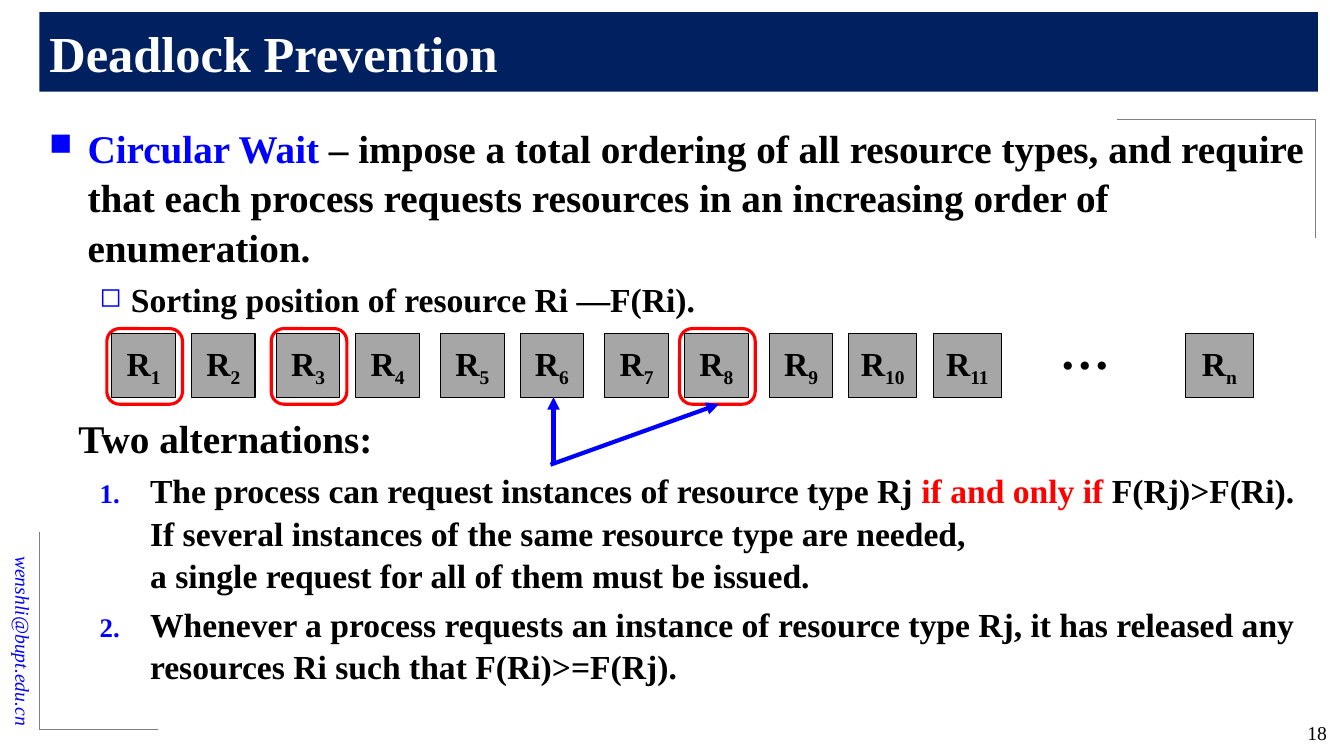
import dataclasses

import pptx
import pptx.dml.color
import pptx.enum.shapes
import pptx.enum.text
import pptx.oxml
import pptx.oxml.ns
import pptx.util

PX = 9144
ANCHOR = pptx.enum.text.MSO_ANCHOR
ALIGN = pptx.enum.text.PP_ALIGN
SHAPE = pptx.enum.shapes.MSO_SHAPE
LINE_BREAK = "\v"


@dataclasses.dataclass(frozen=True)
class Theme:
    """Colours and type sizes of the slide."""
    font: str = "Times New Roman"
    navy: str = "002060"
    blue: str = "0000FF"
    red: str = "FF0000"
    black: str = "000000"
    white: str = "FFFFFF"
    tile: str = "A6A6A6"
    rule: str = "808080"
    title: int = 36
    heading: int = 28
    body: int = 24
    small: int = 14


THEME = Theme()


def px(*lengths):
    """Turn whole px lengths into EMU."""
    return [pptx.util.Emu(length * PX) for length in lengths]


def rgb(colour):
    """Turn a hexadecimal string into a colour."""
    return pptx.dml.color.RGBColor.from_string(colour)


def style(run, size, colour, bold=True, italic=False):
    """Format one run."""
    run.font.name = THEME.font
    run.font.size = pptx.util.Pt(size)
    run.font.bold = bold
    run.font.italic = italic
    run.font.color.rgb = rgb(colour)


def add_element(parent, tag, content="", **attributes):
    """Append a drawing element to its parent."""
    values = " ".join(f'{name}="{value}"' for name, value in attributes.items())
    namespace = pptx.oxml.ns.nsdecls("a")
    parent.append(pptx.oxml.parse_xml(f"<a:{tag} {namespace} {values}>{content}</a:{tag}>"))


def add_line(slide, start, end, colour, width, arrow=False):
    """Draw a straight line, with an arrowhead at its end if asked."""
    line = slide.shapes.add_connector(
        pptx.enum.shapes.MSO_CONNECTOR.STRAIGHT, *px(*start, *end))
    line.line.color.rgb = rgb(colour)
    line.line.width = pptx.util.Pt(width)
    if arrow:
        add_element(line.line._get_or_add_ln(), "tailEnd", type="triangle")
    add_element(line._element.spPr, "effectLst")


def add_text(slide, box, text="", size=THEME.small, colour=THEME.black,
             align=ALIGN.LEFT, bold=False, italic=False):
    """Place a wrapping text box and return it."""
    shape = slide.shapes.add_textbox(*px(*box))
    shape.text_frame.word_wrap = True
    if text:
        paragraph = shape.text_frame.paragraphs[0]
        paragraph.text = text
        paragraph.alignment = align
        style(paragraph.runs[0], size, colour, bold, italic)
    return shape


def add_outline(slide, preset, box, colour, width):
    """Place an outlined preset shape without fill and return it."""
    shape = slide.shapes.add_shape(preset, *px(*box))
    shape.shadow.inherit = False
    shape.fill.background()
    shape.line.color.rgb = rgb(colour)
    shape.line.width = pptx.util.Pt(width)
    return shape


def add_title(slide, box, text):
    """Format the title placeholder as a solid band."""
    title = slide.shapes.title
    title.left, title.top, title.width, title.height = px(*box)
    title.fill.solid()
    title.fill.fore_color.rgb = rgb(THEME.navy)
    title.text_frame.text = text
    title.text_frame.vertical_anchor = ANCHOR.MIDDLE
    paragraph = title.text_frame.paragraphs[0]
    paragraph.alignment = ALIGN.LEFT
    style(paragraph.runs[0], THEME.title, THEME.white)


def add_frame(slide, box):
    """Draw the two thin corners around the content."""
    left, top, right, bottom = box
    for x, y, across, up in ((left, bottom, 118, -196), (right, top, -197, 118)):
        add_line(slide, (x, y), (x + across, y), THEME.rule, 0.5)
        add_line(slide, (x, y), (x, y + up), THEME.rule, 0.5)


def add_outline_text(slide, box, items):
    """Write paragraphs of (size, margin, hanging, marker, segments)."""
    frame = add_text(slide, box).text_frame
    for index, (size, margin, hanging, marker, segments) in enumerate(items):
        paragraph = frame.add_paragraph() if index else frame.paragraphs[0]
        paragraph.line_spacing = 1.05
        if index:
            paragraph.space_before = pptx.util.Pt(size * 0.2)
        properties = paragraph._p.get_or_add_pPr()
        properties.set("marL", str(margin * PX))
        properties.set("indent", str(-hanging * PX))
        if marker:
            add_element(properties, "buClr", f'<a:srgbClr val="{THEME.blue}"/>')
            add_element(properties, "buSzPct", val=80000)
            if marker == "1.":
                add_element(properties, "buAutoNum", type="arabicPeriod")
            else:
                add_element(properties, "buChar", char=marker)
        for text, colour in segments:
            if text == LINE_BREAK:
                paragraph.add_line_break()
                continue
            run = paragraph.add_run()
            run.text = text
            style(run, size, colour)


def add_tile(slide, box, subscript):
    """Draw one resource tile with its subscripted name."""
    tile = add_outline(slide, SHAPE.RECTANGLE, box, THEME.black, 0.75)
    tile.fill.solid()
    tile.fill.fore_color.rgb = rgb(THEME.tile)
    frame = tile.text_frame
    frame.margin_left = frame.margin_right = 0
    frame.word_wrap = False
    frame.vertical_anchor = ANCHOR.MIDDLE
    paragraph = frame.paragraphs[0]
    paragraph.alignment = ALIGN.CENTER
    for text in ("R", subscript):
        run = paragraph.add_run()
        run.text = text
        style(run, THEME.body, THEME.black)
    run.font._element.set("baseline", "-25000")


def add_resources(slide, box):
    """Draw the ordered resources, the held ones ringed, and the arrows."""
    left, top, width, height = box
    tiles = [(left + 163 * (index // 2) + 79 * (index % 2), str(index + 1))
             for index in range(11)]
    for x, name in tiles:
        if name in ("1", "3", "8"):
            add_outline(slide, SHAPE.ROUNDED_RECTANGLE,
                        (x - 5, top - 5, 75, 75), THEME.red, 2.25)
    for start, end in (((438, 130), (438, 63)), ((435, 130), (602, 70))):
        add_line(slide, (left + start[0], top + start[1]),
                 (left + end[0], top + end[1]), THEME.blue, 3, arrow=True)
    for x, name in tiles + [(left + width - 67, "n")]:
        add_tile(slide, (x, top, 63 if name in "123456789" else 67, height), name)
    add_text(slide, (left + 930, top - 19, 102, 68), "…", THEME.title, bold=True)


def add_deadlock_slide(presentation):
    """Build the deadlock prevention slide."""
    slide = presentation.slides.add_slide(presentation.slide_layouts[5])
    black = THEME.black
    email = add_text(slide, (-109, 581, 264, 34), "wenshli@bupt.edu.cn",
                     colour=THEME.blue, align=ALIGN.RIGHT, italic=True)
    email.rotation = 90
    email.text_frame.vertical_anchor = ANCHOR.MIDDLE
    add_frame(slide, (39, 118, 1305, 724))
    add_title(slide, (39, 12, 1268, 79), "Deadlock Prevention")
    add_outline_text(slide, (39, 116, 1264, 200), [
        (THEME.heading, 38, 38, "■", [
            ("Circular Wait", THEME.blue),
            (" – impose a total ordering of all resource types, and require that each "
             "process requests resources in an increasing order of enumeration.", black)]),
        (THEME.body, 81, 31, "◻", [("Sorting position of resource Ri —F(Ri).", black)])])
    add_outline_text(slide, (39, 404, 1264, 300), [
        (THEME.heading, 29, 0, "", [("Two alternations:", black)]),
        (THEME.body, 100, 50, "1.", [
            ("The process can request instances of resource type Rj ", black),
            ("if and only if ", THEME.red), ("F(Rj)>F(Ri).", black), (LINE_BREAK, black),
            ("If several instances of the same resource type are needed,", black),
            (LINE_BREAK, black),
            ("a single request for all of them must be issued.", black)]),
        (THEME.body, 100, 50, "1.", [
            ("Whenever a process requests an instance of resource type Rj, it has "
             "released any resources Ri such that F(Ri)>=F(Rj).", black)])])
    add_text(slide, (1215, 710, 111, 36), "18", align=ALIGN.RIGHT)
    add_resources(slide, (111, 331, 1132, 63))


def main():
    """Create and save the presentation."""
    presentation = pptx.Presentation()
    presentation.slide_width, presentation.slide_height = px(1333, 750)
    add_deadlock_slide(presentation)
    presentation.save("out.pptx")


if __name__ == "__main__":
    main()
